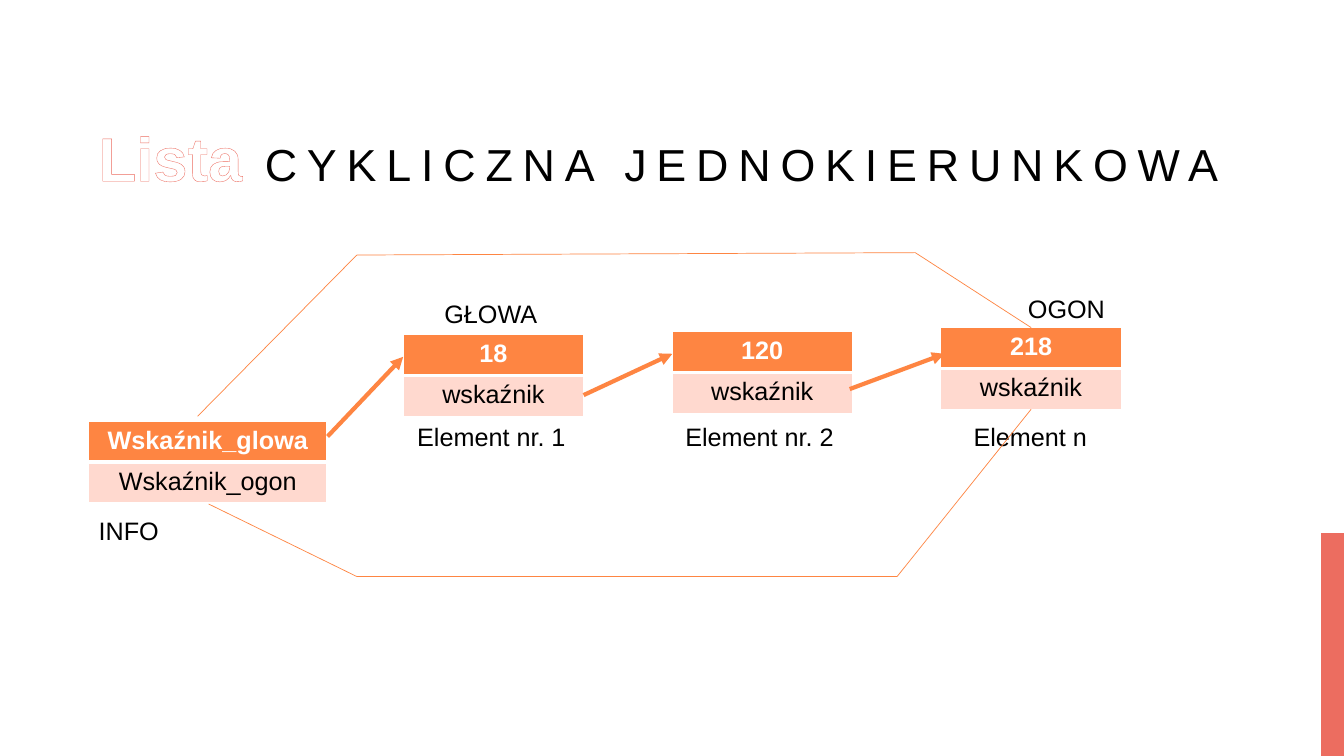
import dataclasses
import itertools

import pptx
import pptx.dml.color
import pptx.enum.shapes
import pptx.enum.text
import pptx.oxml
import pptx.oxml.ns
import pptx.util


@dataclasses.dataclass(frozen=True)
class Theme:
    font: str = "Arial"
    orange: str = "FE8542"
    peach: str = "FFD9CF"
    coral: str = "EC6D60"
    black: str = "000000"
    white: str = "FFFFFF"
    accent_size: int = 44
    title_size: int = 32
    body_size: int = 18
    arrow_width: float = 3
    loop_width: float = 0.5
    outline_width: float = 0.52


def color(value):
    return pptx.dml.color.RGBColor.from_string(value)


def apply_format(target, values):
    for name, value in values.items():
        setattr(target, name, value)


def line_element(tag, value, width):
    return pptx.oxml.parse_xml(
        f'<a:{tag} {pptx.oxml.ns.nsdecls("a")} w="{pptx.util.Pt(width)}">'
        f'<a:solidFill><a:srgbClr val="{value}"/></a:solidFill></a:{tag}>'
    )


class DiagramSlide:
    COLUMNS = 40
    ROWS = 22.5

    def __init__(self, presentation, theme):
        self.theme = theme
        self.column = presentation.slide_width / self.COLUMNS
        self.row = presentation.slide_height / self.ROWS
        self.slide = presentation.slides.add_slide(presentation.slide_layouts[6])
        self.shapes = self.slide.shapes

    def place(self, *lengths):
        units = itertools.cycle((self.column, self.row))
        return [round(length * unit) for length, unit in zip(lengths, units)]

    def run(self, paragraph, text, value, size, bold=False):
        run = paragraph.add_run()
        run.text = text
        apply_format(run.font, {"name": self.theme.font, "size": pptx.util.Pt(size), "bold": bold})
        run.font.color.rgb = color(value)
        return run

    def bar(self, *box):
        shape = self.shapes.add_shape(pptx.enum.shapes.MSO_SHAPE.RECTANGLE, *self.place(*box))
        shape.shadow.inherit = False
        shape.fill.solid()
        shape.fill.fore_color.rgb = color(self.theme.coral)
        shape.line.fill.background()

    def title(self, accent, rest, *box):
        frame = self.shapes.add_textbox(*self.place(*box)).text_frame
        apply_format(frame, {"word_wrap": True, "vertical_anchor": pptx.enum.text.MSO_ANCHOR.BOTTOM})
        paragraph = frame.paragraphs[0]
        paragraph.line_spacing = 1.2
        theme = self.theme
        outlined = self.run(paragraph, accent, theme.white, theme.accent_size, True)
        outline = line_element("ln", theme.coral, theme.outline_width)
        outlined._r.get_or_add_rPr().insert(0, outline)
        spaced = self.run(paragraph, rest, theme.black, theme.title_size)
        spaced._r.get_or_add_rPr().set("spc", "700")

    def label(self, text, left, top, width):
        frame = self.shapes.add_textbox(*self.place(left, top, width, 1.2)).text_frame
        apply_format(frame, {"word_wrap": False, "auto_size": pptx.enum.text.MSO_AUTO_SIZE.SHAPE_TO_FIT_TEXT})
        self.run(frame.paragraphs[0], text, self.theme.black, self.theme.body_size)

    def node(self, head, body, left, top, width):
        theme = self.theme
        box = self.place(left, top, width, 2.43)
        table = self.shapes.add_table(2, 1, *box).table
        apply_format(table, {"first_row": False, "horz_banding": False})
        styles = (
            (head, theme.orange, theme.white, True, 3),
            (body, theme.peach, theme.black, False, 1),
        )
        for index, (text, fill, ink, bold, bottom) in enumerate(styles):
            cell = table.cell(index, 0)
            cell.fill.solid()
            cell.fill.fore_color.rgb = color(fill)
            paragraph = cell.text_frame.paragraphs[0]
            paragraph.alignment = pptx.enum.text.PP_ALIGN.CENTER
            self.run(paragraph, text, ink, theme.body_size, bold)
            top_border = 1 if index == 0 else 3
            borders = {"lnL": 1, "lnR": 1, "lnT": top_border, "lnB": bottom}
            properties = cell._tc.get_or_add_tcPr()
            for position, (side, border) in enumerate(borders.items()):
                properties.insert(position, line_element(side, theme.white, border))

    def line(self, start, end, width):
        connector = self.shapes.add_connector(
            pptx.enum.shapes.MSO_CONNECTOR.STRAIGHT, *self.place(*start, *end)
        )
        connector.line.color.rgb = color(self.theme.orange)
        connector.line.width = pptx.util.Pt(width)
        pptx.oxml.ns.qn("a:effectLst")
        connector._element.spPr.append(
            pptx.oxml.parse_xml(f'<a:effectLst {pptx.oxml.ns.nsdecls("a")}/>')
        )
        return connector

    def arrow(self, start, end):
        connector = self.line(start, end, self.theme.arrow_width)
        connector.line._get_or_add_ln().append(
            pptx.oxml.parse_xml(f'<a:tailEnd {pptx.oxml.ns.nsdecls("a")} type="triangle"/>')
        )

    def loop(self, *points):
        for start, end in itertools.pairwise(points):
            self.line(start, end, self.theme.loop_width)


def main():
    presentation = pptx.Presentation()
    presentation.slide_width = pptx.util.Inches(13.33)
    presentation.slide_height = pptx.util.Inches(7.5)
    diagram = DiagramSlide(presentation, Theme())

    diagram.bar(39.32, 15.87, 0.68, 6.63)
    diagram.title("Lista", " CYKLICZNA JEDNOKIERUNKOWA", 2.64, 1.2, 34, 4.71)

    labels = (
        ("Element nr. 1", 12.12, 12.39, 5.13),
        ("Element nr. 2", 20.1, 12.39, 5.13),
        ("Element n", 28.68, 12.39, 4.08),
        ("OGON", 30.3, 8.58, 3.06),
        ("GŁOWA", 12.93, 8.73, 3.48),
        ("INFO", 2.64, 15.18, 2.46),
    )
    for label in labels:
        diagram.label(*label)

    for index, (value, top) in enumerate((("18", 9.96), ("120", 9.87), ("218", 9.75))):
        diagram.node(value, "wskaźnik", 12 + 8 * index, top, 5.37)
    diagram.node("Wskaźnik_glowa", "Wskaźnik_ogon", 2.64, 12.54, 7.09)

    diagram.arrow((9.75, 12.99), (12, 10.62))
    diagram.arrow((17.37, 11.76), (20.01, 10.53))
    diagram.arrow((25.29, 11.58), (28.11, 10.53))

    diagram.loop((5.88, 12.39), (10.62, 7.59), (27.24, 7.52), (30.69, 9.75))
    diagram.loop((6.21, 15), (10.62, 17.16), (26.7, 17.16), (30.69, 12.18))

    presentation.save("out.pptx")


if __name__ == "__main__":
    main()
